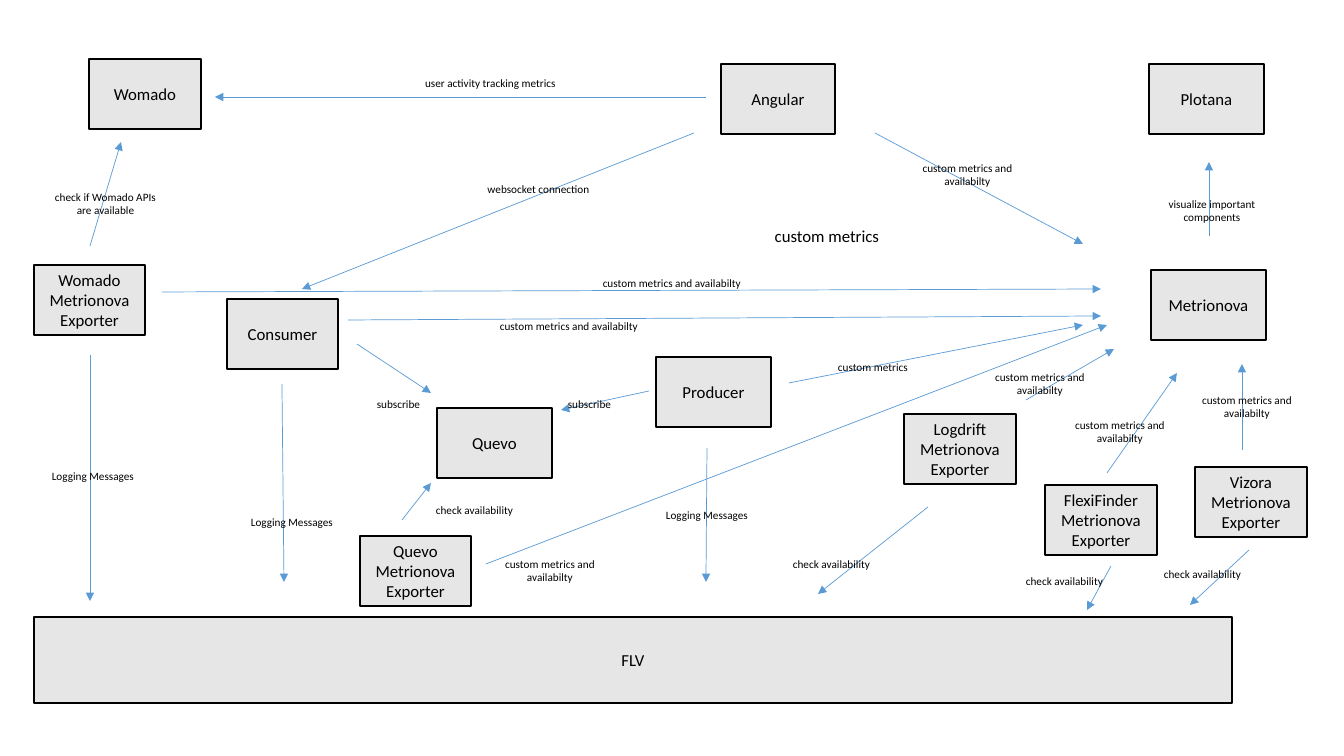
"""Build a one-slide diagram of monitoring, messaging and logging components."""
from lxml import etree
from pptx import Presentation
from pptx.dml.color import RGBColor as RGB
from pptx.enum.shapes import MSO_CONNECTOR as CONN, MSO_SHAPE as SHAPE
from pptx.enum.text import MSO_ANCHOR as ANCHOR, PP_ALIGN as ALIGN
from pptx.oxml.ns import qn
from pptx.util import Pt

PX = 914400 / 100.8
COLORS = {"box": "E7E6E6", "ink": "000000", "arrow": "5B9BD5"}


def emu(*pixels):
    return [round(v * PX) for v in pixels]


def write(sp, text, size):
    tf = sp.text_frame
    tf.word_wrap = True
    p = tf.paragraphs[0]
    p.alignment = ALIGN.CENTER
    r = p.add_run()
    r.text = text
    r.font.name = "Calibri"
    r.font.size = Pt(size)
    r.font.color.rgb = RGB.from_string(COLORS["ink"])


prs = Presentation()
prs.slide_width, prs.slide_height = emu(1344, 756)
s = prs.slides.add_slide(prs.slide_layouts[6])

BOX_H = 70
boxes = [
    ("FLV", 34, 617, 1198, 86),
    ("Angular", 721, 64, 114, BOX_H),
    ("Womado", 89, 59, 112, BOX_H),
    ("Metrionova", 1151, 270, 115, BOX_H),
    ("Producer", 656, 357, 115, BOX_H),
    ("Quevo", 437, 408, 115, BOX_H),
    ("Consumer", 227, 299, 111, BOX_H),
    ("Plotana", 1149, 64, 115, BOX_H),
    ("Womado Metrionova Exporter", 34, 265, 111, BOX_H),
    ("Logdrift Metrionova Exporter", 904, 414, 112, BOX_H),
    ("FlexiFinder Metrionova Exporter", 1045, 485, 112, BOX_H),
    ("Vizora Metrionova Exporter", 1195, 467, 112, BOX_H),
    ("Quevo Metrionova Exporter", 360, 536, 111, BOX_H),
]
for text, *place in boxes:
    sp = s.shapes.add_shape(SHAPE.RECTANGLE, *emu(*place))
    sp.shadow.inherit = False
    sp.fill.solid()
    sp.fill.fore_color.rgb = RGB.from_string(COLORS["box"])
    sp.line.color.rgb = RGB.from_string(COLORS["ink"])
    sp.line.width = Pt(1)
    sp.text_frame.vertical_anchor = ANCHOR.MIDDLE
    write(sp, text, 12)

arrows = [
    (706, 97, 215, 97),
    (90, 246, 121, 142),
    (90, 355, 90, 601),
    (694, 133, 302, 289),
    (357, 344, 431, 393),
    (649, 391, 561, 410),
    (282, 384, 284, 582),
    (707, 448, 706, 582),
    (1209, 236, 1209, 162),
    (789, 383, 1083, 325),
    (875, 133, 1083, 244),
    (162, 292, 1101, 289),
    (348, 320, 1101, 316),
    (1026, 400, 1114, 349),
    (1107, 473, 1177, 373),
    (1242, 450, 1242, 364),
    (928, 507, 818, 594),
    (1111, 566, 1087, 610),
    (1249, 550, 1190, 605),
    (402, 520, 431, 483),
    (486, 564, 1107, 325),
]
for ends in arrows:
    cx = s.shapes.add_connector(CONN.STRAIGHT, *emu(*ends))
    cx.line.color.rgb = RGB.from_string(COLORS["arrow"])
    cx.line.width = Pt(0.5)
    sp_pr = cx.element.spPr
    etree.SubElement(sp_pr.find(qn("a:ln")), qn("a:tailEnd"), type="triangle")
    etree.SubElement(sp_pr, qn("a:effectLst"))

ONE_LINE, TWO_LINES = 24, 37
labels = [
    ("user activity tracking metrics", 8, ONE_LINE, [(341, 71, 299)]),
    ("check if Womado APIs are available", 8, TWO_LINES, [(40, 185, 131)]),
    ("Logging Messages", 8, ONE_LINE,
     [(37, 464, 112), (236, 510, 112), (651, 503, 112)]),
    ("websocket connection", 8, ONE_LINE, [(457, 177, 163)]),
    ("subscribe", 8, ONE_LINE, [(341, 392, 115), (532, 392, 115)]),
    ("visualize important components", 8, TWO_LINES, [(1142, 192, 140)]),
    ("custom metrics", 8, ONE_LINE, [(798, 355, 150)]),
    ("custom metrics", 12, 30, [(726, 221, 202)]),
    ("custom metrics and availabilty", 8, ONE_LINE,
     [(469, 314, 200), (572, 271, 200)]),
    ("custom metrics and availabilty", 8, TWO_LINES,
     [(910, 156, 115), (1045, 413, 150), (965, 365, 150),
      (1172, 388, 150), (475, 552, 150)]),
    ("check availability", 8, ONE_LINE,
     [(736, 552, 191), (969, 569, 191), (1107, 562, 191), (379, 498, 191)]),
]
for text, size, height, places in labels:
    for left, top, width in places:
        write(s.shapes.add_textbox(*emu(left, top, width, height)), text, size)

prs.save("out.pptx")
